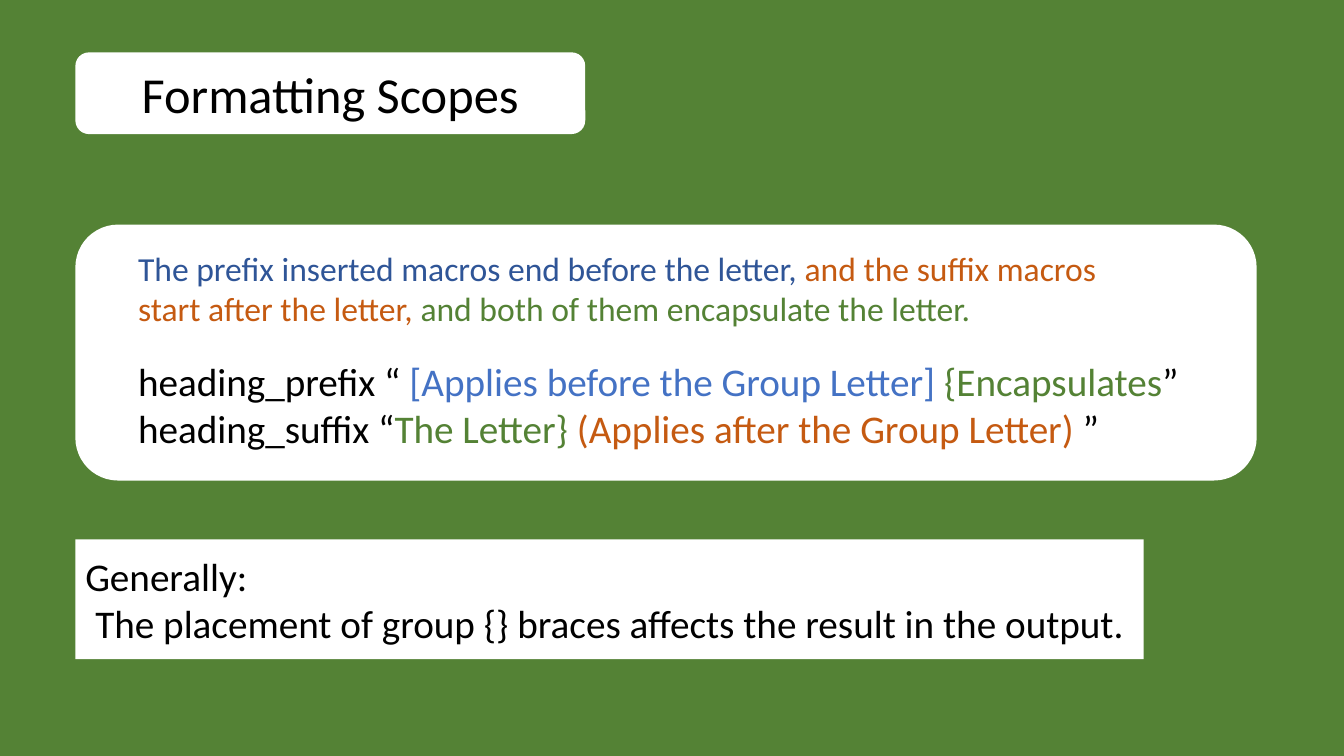
from dataclasses import dataclass

from pptx import Presentation
from pptx.dml.color import RGBColor
from pptx.enum.shapes import MSO_SHAPE
from pptx.enum.text import MSO_ANCHOR, MSO_AUTO_SIZE, PP_ALIGN
from pptx.util import Cm, Pt


@dataclass(frozen=True)
class Theme:
    font: str = "Calibri"
    title: int = 36
    body: int = 28
    note: int = 24
    green: str = "548235"
    white: str = "FFFFFF"
    black: str = "000000"
    navy: str = "2F5597"
    blue: str = "4472C4"
    orange: str = "C55A11"


class SlideBuilder:
    def __init__(self, prs, theme):
        self.theme = theme
        self.slide = prs.slides.add_slide(prs.slide_layouts[6])
        fill = self.slide.background.fill
        fill.solid()
        fill.fore_color.rgb = RGBColor.from_string(theme.green)

    def panel(self, shapes, kind, left, top, width, height):
        sp = shapes.add_shape(kind, Cm(left), Cm(top), Cm(width), Cm(height))
        sp.shadow.inherit = False
        sp.fill.solid()
        sp.fill.fore_color.rgb = RGBColor.from_string(self.theme.white)
        sp.line.fill.background()
        sp.text_frame.vertical_anchor = MSO_ANCHOR.MIDDLE
        return sp

    def textbox(self, shapes, left, top, width, height):
        sp = shapes.add_textbox(Cm(left), Cm(top), Cm(width), Cm(height))
        sp.text_frame.auto_size = MSO_AUTO_SIZE.SHAPE_TO_FIT_TEXT
        return sp

    def add_text(self, sp, size, *lines):
        """Each line is an alignment followed by (text, colour) pairs."""
        tf = sp.text_frame
        tf.word_wrap = True
        for i, (align, *pieces) in enumerate(lines):
            p = tf.add_paragraph() if i else tf.paragraphs[0]
            p.alignment = align
            p.font.name = self.theme.font
            p.font.size = Pt(size)
            for text, color in pieces:
                r = p.add_run()
                r.text = text
                r.font.color.rgb = RGBColor.from_string(color)


def main():
    prs = Presentation()
    prs.slide_width, prs.slide_height = Cm(33.87), Cm(19.05)
    t = Theme()
    s = SlideBuilder(prs, t)
    shapes = s.slide.shapes
    margin, indent = 1.9, 3.23
    left, center = PP_ALIGN.LEFT, PP_ALIGN.CENTER

    # Scope explanation: card with example and note
    card = shapes.add_group_shape().shapes
    s.panel(card, MSO_SHAPE.ROUNDED_RECTANGLE, margin, 5.66, 29.77, 6.45)
    example = s.textbox(card, indent, 8.89, 28.75, 2.64)
    s.add_text(example, t.body,
               (left, ("heading_prefix “ ", t.black),
                ("[Applies before the Group Letter] ", t.blue),
                ("{Encapsulates", t.green), ("”", t.black)),
               (left, ("heading_suffix “", t.black), ("The Letter} ", t.green),
                ("(Applies after the Group Letter)", t.orange), (" ”", t.black)))
    note = s.textbox(card, indent, 6.12, 25.91, 2.31)
    s.add_text(note, t.note,
               (left, ("The prefix inserted macros end before the letter, ", t.navy),
                ("and the suffix macros start after the letter, ", t.orange),
                ("and both of them encapsulate the letter.", t.green)))

    # Title
    title = s.panel(shapes, MSO_SHAPE.ROUNDED_RECTANGLE, margin, 1.32, 12.85, 2.06)
    s.add_text(title, t.title, (center, ("Formatting Scopes", t.black)))

    # General rule
    rule = s.panel(shapes, MSO_SHAPE.RECTANGLE, margin, 13.59, 26.92, 3.02)
    s.add_text(rule, t.body,
               (left, ("Generally:", t.black)),
               (center, ("The placement of group {} braces affects "
                         "the result in the output.", t.black)))

    prs.save("out.pptx")


if __name__ == "__main__":
    main()
